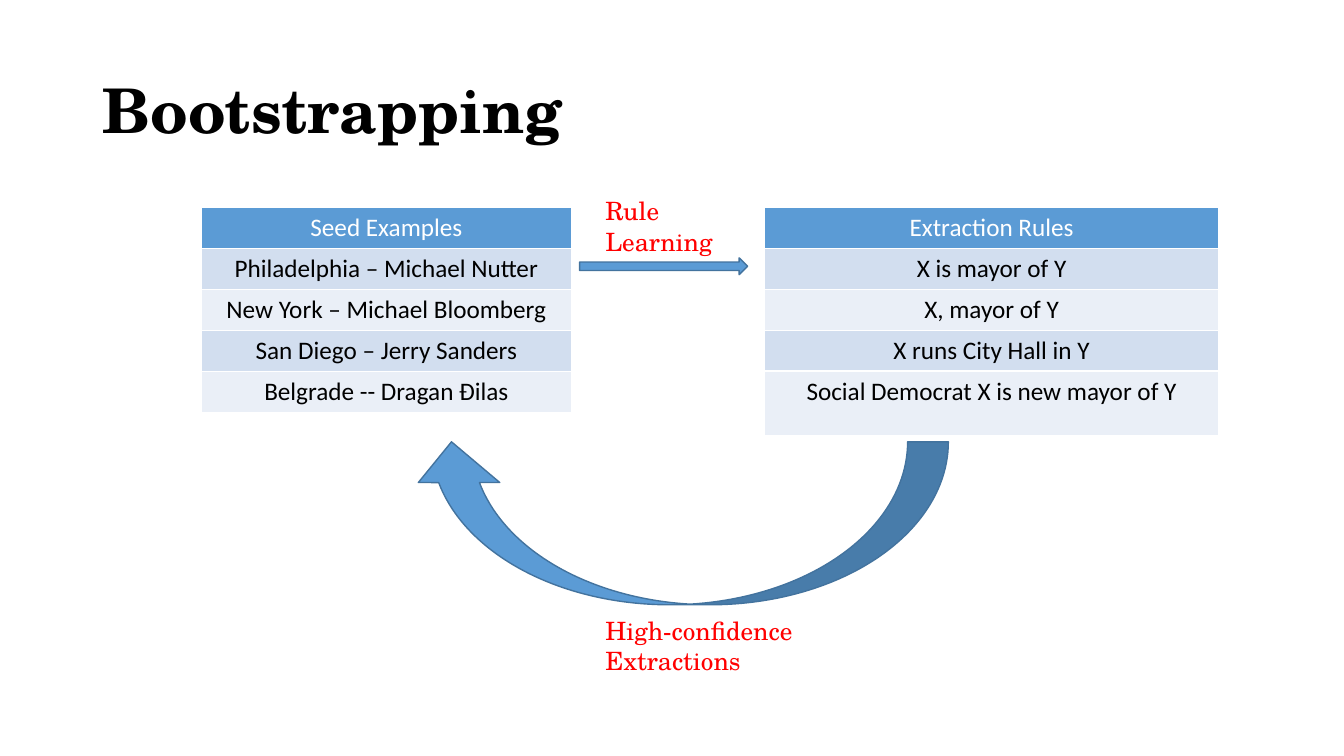
from pptx import Presentation
from pptx.dml.color import RGBColor
from pptx.enum.shapes import MSO_SHAPE as Shape
from pptx.enum.text import MSO_ANCHOR as Anchor, MSO_AUTO_SIZE as AutoSize, PP_ALIGN as Align
from pptx.util import Inches, Pt

# The slide is a grid of 160 columns by 90 rows, twelve to the inch
COLUMNS, ROWS, PER_INCH = 160, 90, 12
HEADING_FONT, TABLE_FONT = "TeX Gyre Schola", "Calibri"
BLUE, OUTLINE, RED = "5B9BD5", "43739E", "FF0000"
BLACK, WHITE = "000000", "FFFFFF"
BANDS = ("D2DEEF", "EAEFF7")

SEEDS = ("Seed Examples", "Philadelphia – Michael Nutter", "New York – Michael Bloomberg",
         "San Diego – Jerry Sanders", "Belgrade -- Dragan Đilas")
RULES = ("Extraction Rules", "X is mayor of Y", "X, mayor of Y",
         "X runs City Hall in Y", "Social Democrat X is new mayor of Y")


def grid(cells):
    return Inches(cells / PER_INCH)


def place(box):
    return [grid(cells) for cells in box]


def color(hex_code):
    return RGBColor.from_string(hex_code)


def style(paragraph, size, name, hex_code, bold=False):
    for run in paragraph.runs:
        font = run.font
        font.size, font.name, font.bold = Pt(size), name, bold
        font.color.rgb = color(hex_code)


def add_heading(slide, box, wording):
    heading = slide.shapes.title
    heading.left, heading.top, heading.width, heading.height = place(box)
    frame = heading.text_frame
    frame.text = wording
    frame.vertical_anchor = Anchor.MIDDLE
    paragraph = frame.paragraphs[0]
    paragraph.alignment, paragraph.line_spacing = Align.LEFT, 0.9
    style(paragraph, 44, HEADING_FONT, BLACK, bold=True)


def add_list_table(slide, box, entries, row_height):
    """One-column table; the last row takes the height that is left."""
    table = slide.shapes.add_table(len(entries), 1, *place(box)).table
    last_height = box[3] - row_height * (len(entries) - 1)
    for index, entry in enumerate(entries):
        is_last = index == len(entries) - 1
        table.rows[index].height = grid(last_height if is_last else row_height)
        cell = table.cell(index, 0)
        cell.text = entry
        cell.fill.solid()
        cell.fill.fore_color.rgb = color(BANDS[(index - 1) % 2] if index else BLUE)
        paragraph = cell.text_frame.paragraphs[0]
        paragraph.alignment = Align.CENTER
        style(paragraph, 18, TABLE_FONT, BLACK if index else WHITE)


def add_arrow(slide, box, kind, rotation=0):
    arrow = slide.shapes.add_shape(kind, *place(box))
    arrow.rotation = rotation
    arrow.shadow.inherit = False
    arrow.fill.solid()
    arrow.fill.fore_color.rgb = color(BLUE)
    arrow.line.color.rgb = color(OUTLINE)
    arrow.line.width = Pt(1)


def add_step_label(slide, box, wording):
    frame = slide.shapes.add_textbox(*place(box)).text_frame
    frame.word_wrap = True
    frame.auto_size = AutoSize.SHAPE_TO_FIT_TEXT
    frame.text = wording
    for paragraph in frame.paragraphs:
        style(paragraph, 18, HEADING_FONT, RED)


def add_bootstrapping_cycle(slide, box):
    left, top, width, height = box
    label_left = left + 46.9
    # Seeds on the left, rules on the right
    add_list_table(slide, (left, top, 44, 24.4), SEEDS, 4.88)
    add_list_table(slide, (left + width - 54.1, top, 54.1, 26.9), RULES, 4.8)
    # Seeds to rules
    add_arrow(slide, (left + 45, top + 6, 20, 2), Shape.RIGHT_ARROW)
    add_step_label(slide, (label_left, top - 2, 17, 8.5), "Rule Learning")
    # Rules back to seeds
    add_arrow(slide, (left + 47.2, top + 5.6, 19.4, 64), Shape.CURVED_LEFT_ARROW, 90)
    add_step_label(slide, (label_left, top + height - 8.5, 26.4, 8.5),
                   "High-confidence\nExtractions")


def main():
    deck = Presentation()
    deck.slide_width, deck.slide_height = grid(COLUMNS), grid(ROWS)
    slide = deck.slides.add_slide(deck.slide_layouts[5])
    add_heading(slide, (11, 4.8, 138, 17.4), "Bootstrapping")
    add_bootstrapping_cycle(slide, (24, 24.7, 121.1, 56.4))
    deck.save("out.pptx")


if __name__ == "__main__":
    main()
